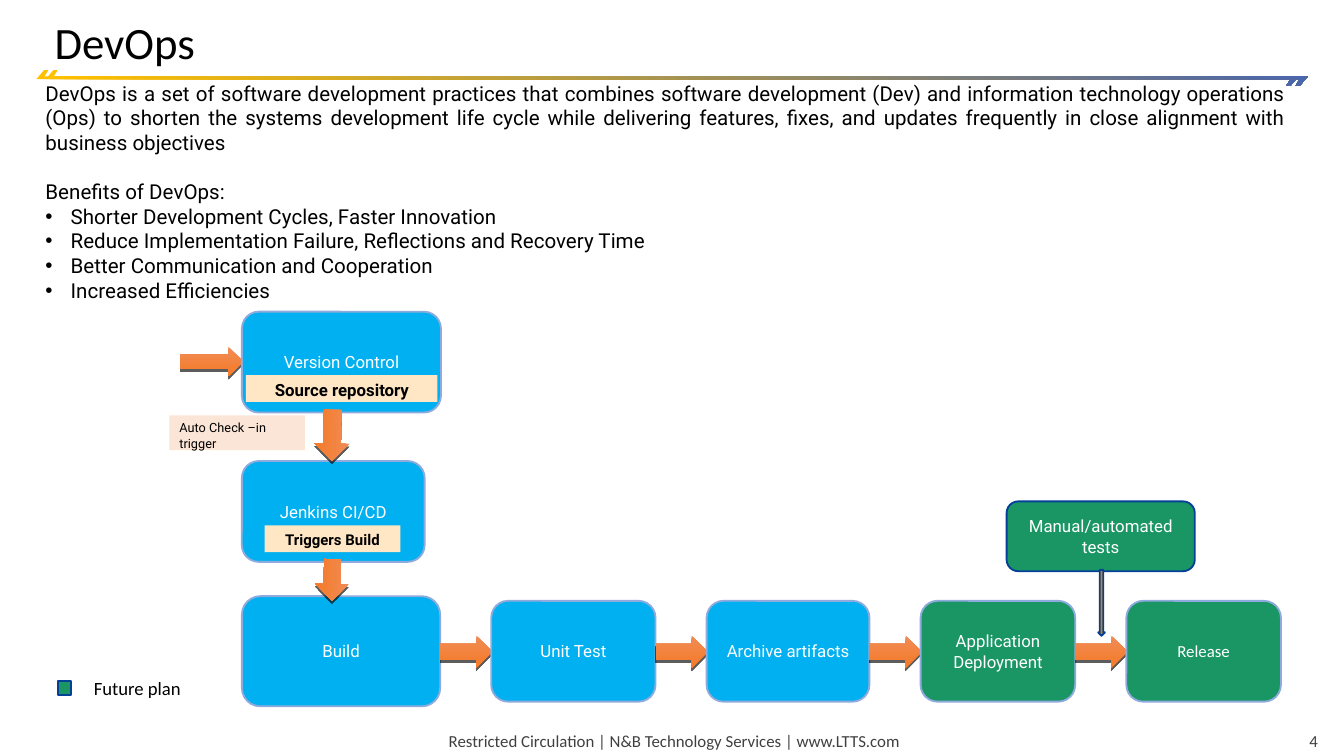
from lxml import etree
from pptx import Presentation
from pptx.dml.color import RGBColor
from pptx.enum.shapes import MSO_SHAPE
from pptx.enum.text import MSO_ANCHOR, PP_ALIGN
from pptx.oxml.ns import qn
from pptx.util import Pt

LEFT, MID, RIGHT, FULL = PP_ALIGN.LEFT, PP_ALIGN.CENTER, PP_ALIGN.RIGHT, PP_ALIGN.JUSTIFY
TOP, CORE, BASE = MSO_ANCHOR.TOP, MSO_ANCHOR.MIDDLE, MSO_ANCHOR.BOTTOM
RECT, ROUND = MSO_SHAPE.RECTANGLE, MSO_SHAPE.ROUNDED_RECTANGLE
EAST, DOWN = MSO_SHAPE.RIGHT_ARROW, MSO_SHAPE.DOWN_ARROW

BLACK = RGBColor(0x00, 0x00, 0x00)
WHITE = RGBColor(0xFF, 0xFF, 0xFF)
GREY = RGBColor(0x40, 0x40, 0x40)
GOLD = RGBColor(0xFF, 0xC0, 0x00)
INDIGO = RGBColor(0x4A, 0x66, 0xAC)
SKY = RGBColor(0x00, 0xB0, 0xF0)
PALE = RGBColor(0x8F, 0xAA, 0xDC)
GREEN = RGBColor(0x1A, 0x96, 0x64)
NAVY = RGBColor(0x04, 0x40, 0x98)
CREAM = RGBColor(0xFF, 0xE7, 0xC5)
PEACH = RGBColor(0xFB, 0xE5, 0xD6)
AMBER = RGBColor(0xDA, 0x82, 0x00)
CORAL = RGBColor(0xF0, 0x8C, 0x56)
ORANGE = RGBColor(0xF5, 0x7A, 0x27)

SLIM = (5.4, 2.7)
WIDE = (7.2, 3.6)


def write(shape, text, size=9, font="Roboto", color=BLACK, bold=False, align=LEFT,
          anchor=TOP, pad=SLIM, wrap=True, bullet=False, before=0):
    frame = shape.text_frame
    frame.word_wrap = wrap
    frame.vertical_anchor = anchor
    frame.margin_left = frame.margin_right = Pt(pad[0])
    frame.margin_top = frame.margin_bottom = Pt(pad[1])
    para = frame.add_paragraph() if frame.text else frame.paragraphs[0]
    para.alignment = align
    if before:
        para.space_before = Pt(before)
    if bullet:
        props = para._p.get_or_add_pPr()
        props.set("marL", str(Pt(13.5)))
        props.set("indent", str(-Pt(13.5)))
        etree.SubElement(props, qn("a:buFont"), typeface="Arial")
        etree.SubElement(props, qn("a:buChar"), char="•")
    run = para.add_run()
    run.text = text
    run.font.size = Pt(size)
    run.font.name = font
    run.font.bold = bold
    run.font.color.rgb = color


def blend(shape, first, last, angle):
    shape.fill.gradient()
    shape.fill.gradient_angle = angle
    for stop, color in zip(shape.fill.gradient_stops, (first, last)):
        stop.color.rgb = color
    shape.line.fill.background()


def text_box(slide, x, y, w, h):
    return slide.shapes.add_textbox(Pt(x), Pt(y), Pt(w), Pt(h))


def block(slide, kind, x, y, w, h, fill, line=None):
    shape = slide.shapes.add_shape(kind, Pt(x), Pt(y), Pt(w), Pt(h))
    shape.shadow.inherit = False
    shape.fill.solid()
    shape.fill.fore_color.rgb = fill
    if line is None:
        shape.line.fill.background()
    else:
        shape.line.color.rgb = line
        shape.line.width = Pt(1)
    return shape


def step(slide, x, y, w, h, text, fill=SKY, line=PALE, font="Roboto", pad=SLIM):
    shape = block(slide, ROUND, x, y, w, h, fill, line)
    write(shape, text, font=font, color=WHITE, align=MID, anchor=CORE, pad=pad)


def tag(slide, x, y, w, h, text, size):
    shape = block(slide, RECT, x, y, w, h, CREAM)
    write(shape, text, size=size, bold=True, align=MID)


def arrow(slide, x, y, w, h, turn=0):
    shape = block(slide, EAST, x, y, w, h, ORANGE)
    shape.rotation = turn
    blend(shape, CORAL, ORANGE, 270)
    effect = shape._element.spPr.find(qn("a:effectLst"))
    shade = etree.SubElement(effect, qn("a:outerShdw"), dist=str(Pt(1.5)),
                             dir="5400000", rotWithShape="0")
    color = etree.SubElement(shade, qn("a:srgbClr"), val="000000")
    etree.SubElement(color, qn("a:alpha"), val="63000")


def rule(slide, x, y, w, h):
    half = [(4.3, 0), (6.5, 0), (4.3, 3.6), (w - 2.2, 3.6), (w, 3.6)]
    points = half + [(w - a, h - b) for a, b in half]
    points = [(Pt(x + a), Pt(y + b)) for a, b in points]
    maker = slide.shapes.build_freeform(*points[0])
    maker.add_line_segments(points[1:], close=True)
    shape = maker.convert_to_shape()
    shape.shadow.inherit = False
    blend(shape, GOLD, INDIGO, 0)


def header(slide, x, y, w, h):
    for shift in (0, 5):
        rule(slide, x - 4.3 + shift, y + h - 2.2, w + 4.3, 8.6)
    write(text_box(slide, x, y, w, h), "DevOps", size=24, font="Calibri", anchor=BASE)


def body(slide, x, y, w, h):
    look = dict(size=11, align=FULL, pad=WIDE)
    box = text_box(slide, x, y, w, h)
    write(box, "DevOps is a set of software development practices that combines software "
          "development (Dev) and information technology operations (Ops) to shorten the "
          "systems development life cycle while delivering features, fixes, and updates "
          "frequently in close alignment with business objectives", **look)
    write(box, "Benefits of DevOps:", before=13.2, **look)
    for gain in ("Shorter Development Cycles, Faster Innovation",
                 "Reduce Implementation Failure, Reflections and Recovery Time",
                 "Better Communication and Cooperation",
                 "Increased Efficiencies"):
        write(box, gain, bullet=True, **look)


def stack(slide, x, y, w):
    arrow(slide, x - 33.1, y + 18.8, 33.8, 15.8)
    step(slide, x, y, w, 54, "Version Control")
    tag(slide, x + 2.2, y + 34, w - 4, 14.4, "Source repository", 9)
    step(slide, x, y + 80, w - 8.7, 54, "Jenkins CI/CD")
    tag(slide, x + 12.2, y + 114.5, 72.7, 14.4, "Triggers Build", 8)
    note = block(slide, RECT, x - 38.9, y + 55.5, 72.7, 18.7, PEACH)
    write(note, "Auto Check –in trigger", size=6.8)


def row(slide, x, y, h):
    gap = 27.4
    steps = [("Build", 106.2, 59, SKY, "Roboto"),
             ("Unit Test", 88, h, SKY, "Roboto"),
             ("Archive artifacts", 87.2, h, SKY, "Roboto"),
             ("Application Deployment", 82.8, h, GREEN, "Roboto"),
             ("Release", 82.8, h, GREEN, "Calibri")]
    for i, (text, wide, high, fill, font) in enumerate(steps):
        step(slide, x, y + (h - high) / 2, wide, high, text, fill, font=font)
        x += wide
        if i < len(steps) - 1:
            arrow(slide, x, y + h / 2 - 8.4, gap + 0.6, 17.3)
        x += gap


def drops(slide, x, y):
    arrow(slide, x - 13.7, y, 27.4, 18.7, 91)
    arrow(slide, x - 11.2, y + 77.8, 22.3, 18, 91)


def tests(slide, x, y, w, h):
    step(slide, x, y, w, h, "Manual/automated tests", GREEN, NAVY, pad=WIDE)
    block(slide, DOWN, x + w / 2 - 1.4, y + h - 0.7, 3.6, 35.3, AMBER, NAVY)


def legend(slide, x, y, w, h):
    block(slide, RECT, x, y + 5.7, 7.2, 7.2, GREEN, NAVY)
    write(text_box(slide, x + 12.2, y, w - 12.2, h), "Future plan", size=10,
          font="Calibri", pad=WIDE)


def footer(slide, x, y, w, h):
    look = dict(font="Calibri", color=GREY)
    write(text_box(slide, x, y, 254.2, h),
          "Restricted Circulation | N&B Technology Services | www.LTTS.com",
          align=MID, wrap=False, **look)
    write(text_box(slide, x + w - 36, y, 36, h), "4", align=RIGHT, **look)


def main():
    deck = Presentation()
    deck.slide_width, deck.slide_height = Pt(720), Pt(405)
    slide = deck.slides.add_slide(deck.slide_layouts[6])
    footer(slide, 234, 388.8, 477.4, 16.6)
    header(slide, 23.8, 0, 671.8, 39.6)
    body(slide, 17.3, 39.6, 679, 127.4)
    stack(slide, 129.6, 167, 106.6)
    row(slide, 129.6, 321.9, 54)
    drops(slide, 178, 223.9)
    tests(slide, 539.3, 268.6, 100.8, 37.4)
    legend(slide, 31, 359.3, 77.7, 19.4)
    deck.save("out.pptx")


if __name__ == "__main__":
    main()
